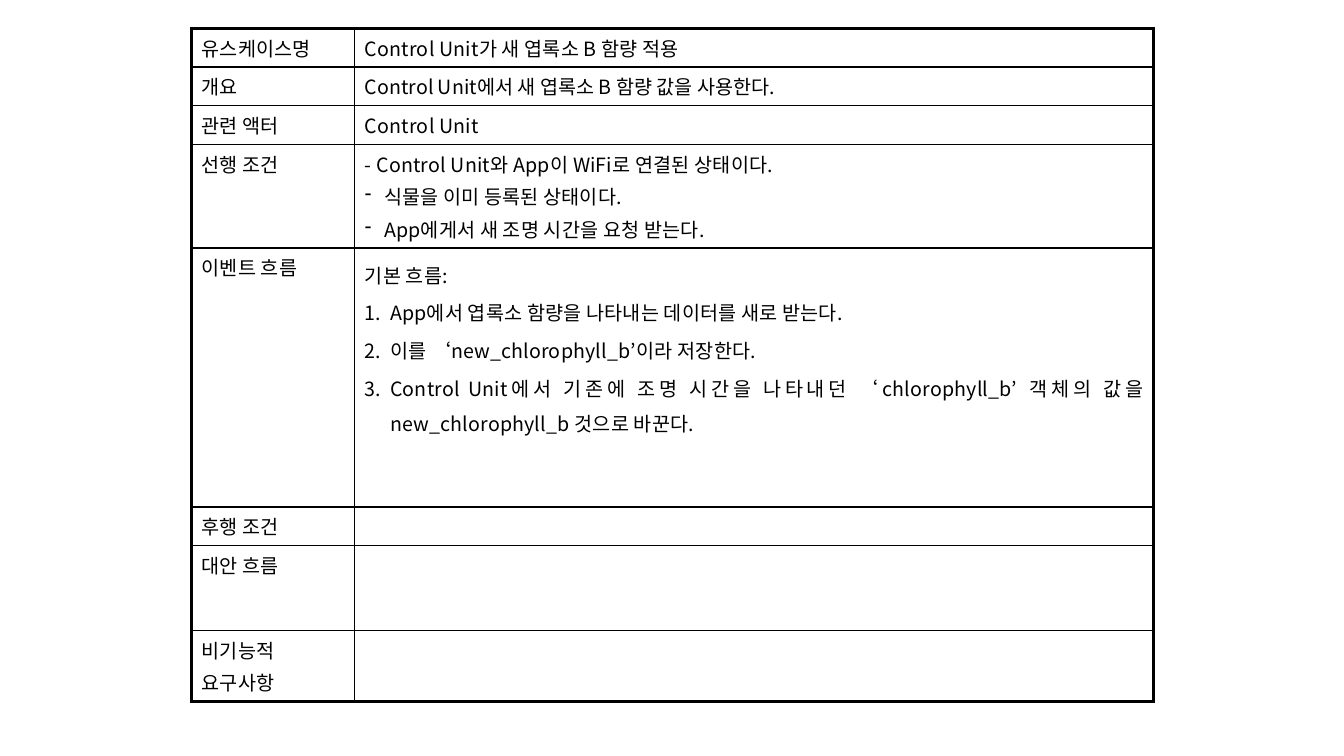
import lxml.etree
import pptx
import pptx.dml.color
import pptx.enum.text
import pptx.oxml.ns
import pptx.util

Inches = pptx.util.Inches
Pt = pptx.util.Pt
qn = pptx.oxml.ns.qn

FONT = "Noto Sans CJK KR"
SIZE = 14
INK = "000000"
THIN, THICK = 1, 2.25
COLUMNS = [1.62, 7.92]
FLOW = dict(before=1.4, line=1.25, align=pptx.enum.text.PP_ALIGN.JUSTIFY)
DASH = dict(bullet=("a:buChar", {"char": "-"}), indent=0.19)
NUMBER = dict(bullet=("a:buAutoNum", {"type": "arabicPeriod"}), indent=0.25)

ROWS = [
    (0.32, ["유스케이스명"], [("Control Unit가 새 엽록소 B 함량 적용", {})]),
    (0.32, ["개요"], [("Control Unit에서 새 엽록소 B 함량 값을 사용한다.", {"spacing": 0})]),
    (0.32, ["관련 액터"], [("Control Unit", {})]),
    (0.32, ["선행 조건"], [
        ("- Control Unit와 App이 WiFi로 연결된 상태이다.", {}),
        ("식물을 이미 등록된 상태이다.", DASH),
        ("App에게서 새 조명 시간을 요청 받는다.", DASH),
    ]),
    (2.57, ["이벤트 흐름"], [
        ("기본 흐름:", FLOW),
        ("App에서 엽록소 함량을 나타내는 데이터를 새로 받는다.", FLOW | NUMBER),
        ("이를 ‘new_chlorophyll_b’이라 저장한다.", FLOW | NUMBER),
        ("Control Unit에서 기존에 조명 시간을 나타내던 ‘chlorophyll_b’ 객체의 값을 "
         "new_chlorophyll_b 것으로 바꾼다.", FLOW | NUMBER),
    ]),
    (0.32, ["후행 조건"], []),
    (0.84, ["대안 흐름"], []),
    (0.59, ["비기능적", "요구사항"], []),
]


def rgb(value):
    return pptx.dml.color.RGBColor.from_string(value)


def sub(parent, tag, **attributes):
    return lxml.etree.SubElement(parent, qn(tag), attributes)


def add_text(p, text, bullet=None, indent=0, before=2.8, line=None, align=None, spacing=0.1):
    pPr = p._p.get_or_add_pPr()
    if bullet:
        tag, attributes = bullet
        pPr.set("marL", str(Inches(indent)))
        pPr.set("indent", str(-Inches(indent)))
        sub(pPr, tag, **attributes)
    p.space_before = Pt(before)
    p.alignment = align
    if line:
        p.line_spacing = line
    r = p.add_run()
    r.text = text
    r.font.size = Pt(SIZE)
    r.font.name = FONT
    r.font.color.rgb = rgb(INK)
    rPr = r._r.get_or_add_rPr()
    rPr.set("spc", str(round(spacing * 100)))
    sub(rPr, "a:ea", typeface=FONT)


def fill_cell(cell, lines):
    tf = cell.text_frame
    for i, (text, style) in enumerate(lines):
        p = tf.add_paragraph() if i else tf.paragraphs[0]
        add_text(p, text, **(style if i else style | {"before": 0}))
    if not lines:
        sub(tf.paragraphs[0]._p, "a:endParaRPr", sz=str(SIZE * 100))


def set_borders(cell, widths):
    tcPr = cell._tc.get_or_add_tcPr()
    for side, width in widths.items():
        ln = sub(tcPr, "a:ln" + side, w=str(Pt(width)))
        sub(sub(ln, "a:solidFill"), "a:srgbClr", val=INK)


def add_use_case_table(s, left, top):
    heights = [row[0] for row in ROWS]
    frame = s.shapes.add_table(len(ROWS), len(COLUMNS), Inches(left), Inches(top),
                               Inches(sum(COLUMNS)), Inches(sum(heights)))
    table = frame.table
    table.first_row = table.horz_banding = False
    for column, width in zip(table.columns, COLUMNS):
        column.width = Inches(width)
    last_row, last_col = len(ROWS) - 1, len(COLUMNS) - 1
    for i, (height, labels, details) in enumerate(ROWS):
        table.rows[i].height = Inches(height)
        for j, lines in enumerate([[(label, {}) for label in labels], details]):
            cell = table.cell(i, j)
            cell.margin_left = cell.margin_right = Inches(0.1)
            cell.margin_top = cell.margin_bottom = Inches(0.05)
            fill_cell(cell, lines)
            set_borders(cell, {
                "L": THICK if j == 0 else THIN,
                "R": THICK if j == last_col else THIN,
                "T": THICK if i == 0 else THIN,
                "B": THICK if i == last_row else THIN,
            })
            cell.fill.background()


def main():
    prs = pptx.Presentation()
    prs.slide_width, prs.slide_height = Inches(13.33), Inches(7.5)
    s = prs.slides.add_slide(prs.slide_layouts[6])
    add_use_case_table(s, 1.9, 0.28)
    prs.save("out.pptx")


if __name__ == "__main__":
    main()
